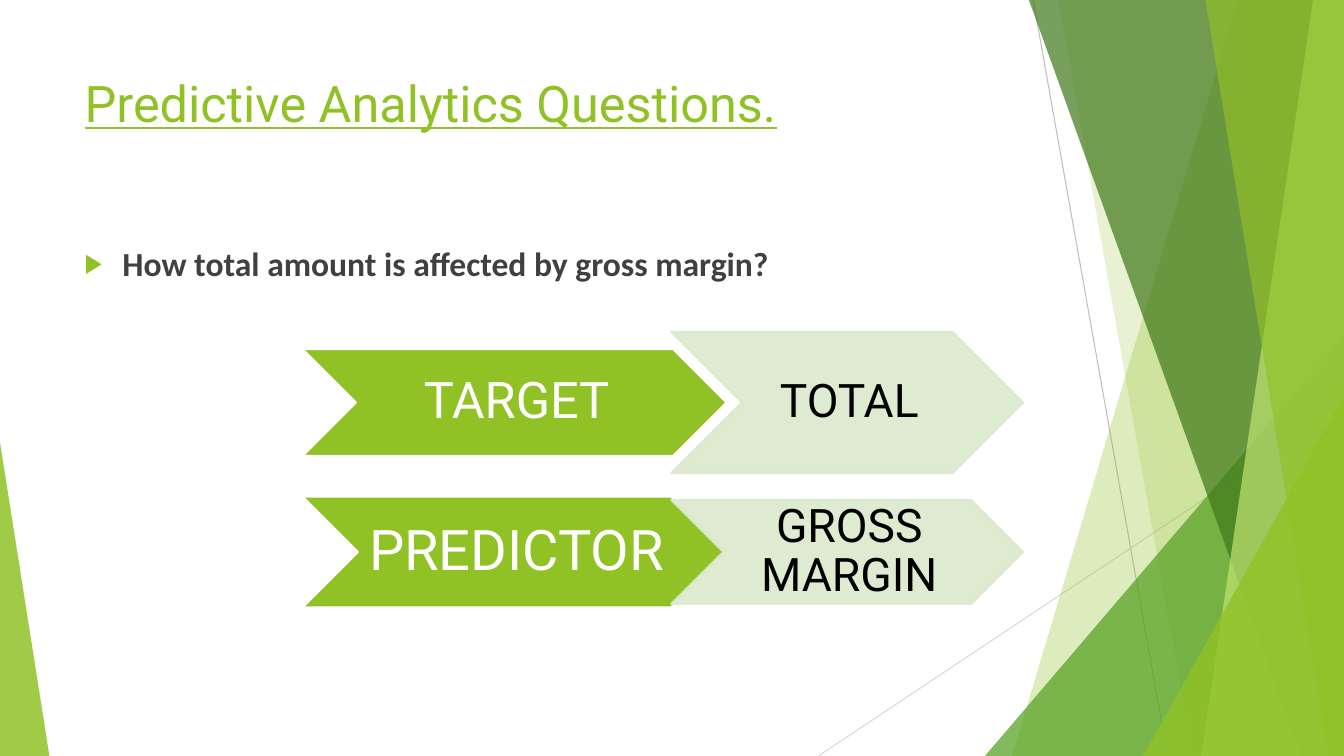
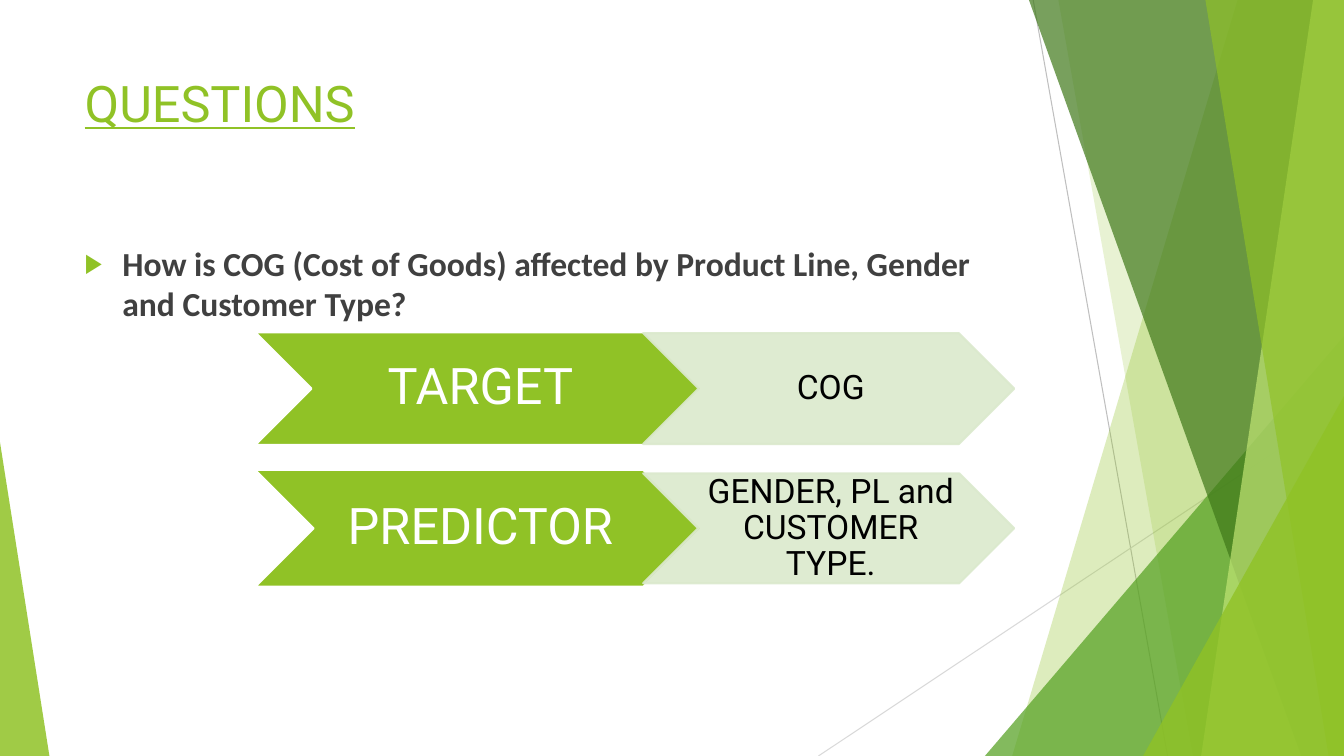
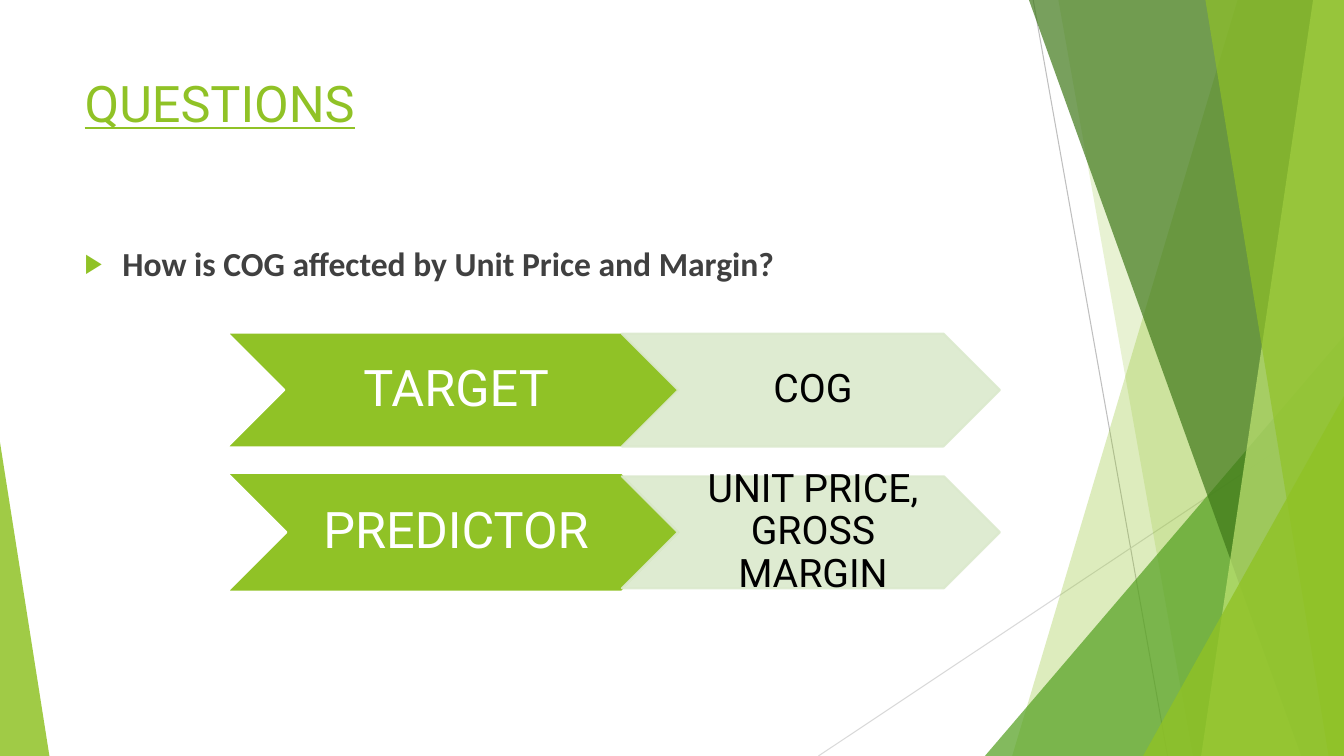
from dataclasses import dataclass

from lxml.etree import SubElement
from pptx import Presentation
from pptx.dml.color import RGBColor as RGB
from pptx.enum.shapes import MSO_CONNECTOR as LINK, MSO_SHAPE as SHAPE
from pptx.enum.text import MSO_ANCHOR as ANCHOR, MSO_AUTO_SIZE as FIT, PP_ALIGN as ALIGN
from pptx.oxml.ns import qn
from pptx.util import Pt


@dataclass(frozen=True)
class Theme:
    lime: str = "90C226"
    pale_lime: str = "C0E474"
    green: str = "54A021"
    dark: str = "3F7819"
    mint: str = "DBE9CD"
    white: str = "FFFFFF"
    black: str = "000000"
    body: str = "404040"
    gray: str = "BFBFBF"
    silver: str = "D9D9D9"
    head_font: str = "Roboto"
    body_font: str = "Calibri"
    title_size: int = 36
    body_size: int = 24


T = Theme()
WIDE, HIGH = 960, 540
TITLE_BOX = (53.3, 48.2, 677, 104)
BODY_BOX = (53.3, 170, 677, 305)

# Each column is (left, width); each row is
# (middle, (label, height, size), (value, height, size)).
SLIDES = [
    dict(
        title="Predictive Analytics Questions.",
        ask="How total amount is affected by gross margin?",
        cols=[(216, 303), (479.5, 251.3)],
        rows=[
            (287.5, ("TARGET", 76.3, 36), ("TOTAL", 100.8, 33)),
            (394.3, ("PREDICTOR", 79.2, 40), ("GROSS MARGIN", 74.2, 33)),
        ],
    ),
    dict(
        title="QUESTIONS",
        ask="How is COG (Cost of Goods) affected by Product Line, Gender and Customer Type?",
        cols=[(182.2, 319), (459.4, 265)],
        rows=[
            (277.6, ("TARGET", 80.6, 36), ("COG", 79.2, 24)),
            (377.4, ("PREDICTOR", 83.5, 36), ("GENDER, PL and CUSTOMER TYPE.", 78.5, 24)),
        ],
    ),
    dict(
        title="QUESTIONS",
        ask="How is COG affected by Unit Price and Margin?",
        cols=[(162, 324.7), (444.2, 270)],
        rows=[
            (278.6, ("TARGET", 82.1, 36), ("COG", 80.6, 28)),
            (380.2, ("PREDICTOR", 85, 36), ("UNIT PRICE, GROSS MARGIN", 79.9, 28)),
        ],
    ),
]
# (fill, line, text colour) of the label and value columns
LOOKS = [(T.lime, T.white, T.white), (T.mint, T.mint, T.black)]
ALPHAS = [100, 90]

RAYS = [((738, 0), (834, HIGH), T.gray), ((WIDE, 290), (584.6, HIGH), T.silver)]
# A facet is (top x, bottom x) and runs to the right edge;
# a wedge is (left, top, width, apex) and stands on the bottom edge.
BANDS = [
    ("facet", (884, 723), T.lime, 30),
    ("facet", (756, 852), T.lime, 20),
    ("wedge", (703.5, 240, 256.5, 1), T.green, 72),
    ("facet", (735, 929.5), T.dark, 70),
    ("facet", (938, 858), T.pale_lime, 70),
    ("facet", (861, 949), T.lime, 65),
    ("wedge", (816.5, 283, 143.5, 1), T.lime, 80),
    ("wedge", (0, 316, 35.3, 0), T.lime, 85),
]


def pts(*nums):
    return [Pt(n) for n in nums]


def color(name):
    return RGB.from_string(name)


def fade(shape, alpha):
    """Set the opacity, in percent, of every colour of a shape."""
    for tint in list(shape.element.spPr.iter(qn("a:srgbClr"))):
        SubElement(tint, qn("a:alpha"), val=str(alpha * 1000))


def write(para, text, font, size, tint, bold=False, under=False):
    run = para.add_run()
    run.text = text
    face = run.font
    face.name, face.size = font, Pt(size)
    face.color.rgb = color(tint)
    face.bold, face.underline = bold, under


def add_ray(slide, start, end, tint):
    ray = slide.shapes.add_connector(LINK.STRAIGHT, *pts(*start, *end))
    ray.line.color.rgb = color(tint)
    ray.line.width = Pt(0.75)
    SubElement(ray.element.spPr, qn("a:effectLst"))
    return ray


def add_band(slide, kind, dims, tint, alpha):
    if kind == "facet":
        top, foot = dims
        pen = slide.shapes.build_freeform(*pts(top, 0))
        corners = [(WIDE, 0), (WIDE, HIGH), (foot, HIGH)]
        pen.add_line_segments([pts(*spot) for spot in corners], close=True)
        band = pen.convert_to_shape()
    else:
        left, top, width, apex = dims
        box = pts(left, top, width, HIGH - top)
        band = slide.shapes.add_shape(SHAPE.ISOSCELES_TRIANGLE, *box)
        band.adjustments[0] = apex
    band.shadow.inherit = False
    band.fill.solid()
    band.fill.fore_color.rgb = color(tint)
    band.line.fill.background()
    fade(band, alpha)
    return band


def dress(layout, slide):
    """Draw the shared bands and hand them to the layout."""
    parts = [add_ray(slide, *ray) for ray in RAYS]
    parts += [add_band(slide, *band) for band in BANDS]
    for part in parts:
        layout.shapes.element.append(part.element)


def set_title(slide, text):
    title = slide.shapes.title
    title.left, title.top, title.width, title.height = pts(*TITLE_BOX)
    frame = title.text_frame
    frame.auto_size, frame.word_wrap = FIT.NONE, True
    frame.vertical_anchor = ANCHOR.TOP
    para = frame.paragraphs[0]
    para.alignment = ALIGN.LEFT
    write(para, text, T.head_font, T.title_size, T.lime, under=True)


def add_ask(slide, text):
    frame = slide.shapes.add_textbox(*pts(*BODY_BOX)).text_frame
    frame.word_wrap = True
    para = frame.paragraphs[0]
    props = para._p.get_or_add_pPr()
    props.set("marL", str(Pt(27)))
    props.set("indent", str(-Pt(27)))
    tint = SubElement(props, qn("a:buClr"))
    SubElement(tint, qn("a:srgbClr"), val=T.lime)
    SubElement(props, qn("a:buSzPct"), val="80000")
    SubElement(props, qn("a:buFont"), typeface="Arial")
    SubElement(props, qn("a:buChar"), char="▶")
    write(para, text, T.body_font, T.body_size, T.body, bold=True)


def add_arrow(slide, box, text, size, look, alpha):
    fill, line, ink = look
    arrow = slide.shapes.add_shape(SHAPE.CHEVRON, *pts(*box))
    arrow.shadow.inherit = False
    arrow.fill.solid()
    arrow.fill.fore_color.rgb = color(fill)
    arrow.line.color.rgb = color(line)
    arrow.line.width = Pt(1.5)
    if alpha < 100:
        fade(arrow, alpha)
    frame = arrow.text_frame
    frame.word_wrap = True
    frame.vertical_anchor = ANCHOR.MIDDLE
    frame.margin_left, frame.margin_right = pts(3, 0)
    frame.margin_top = frame.margin_bottom = Pt(2)
    para = frame.paragraphs[0]
    para.alignment = ALIGN.CENTER
    para.line_spacing = 0.9
    write(para, text, T.head_font, size, ink)


def main():
    deck = Presentation()
    deck.slide_width, deck.slide_height = pts(WIDE, HIGH)
    layout = deck.slide_layouts[5]
    for num, page in enumerate(SLIDES):
        slide = deck.slides.add_slide(layout)
        if num == 0:
            dress(layout, slide)
        set_title(slide, page["title"])
        add_ask(slide, page["ask"])
        for mid, *cells in page["rows"]:
            for cell, col, look, alpha in zip(cells, page["cols"], LOOKS, ALPHAS):
                text, high, size = cell
                left, width = col
                box = (left, mid - high / 2, width, high)
                add_arrow(slide, box, text, size, look, alpha)
    deck.save("out.pptx")


if __name__ == "__main__":
    main()
